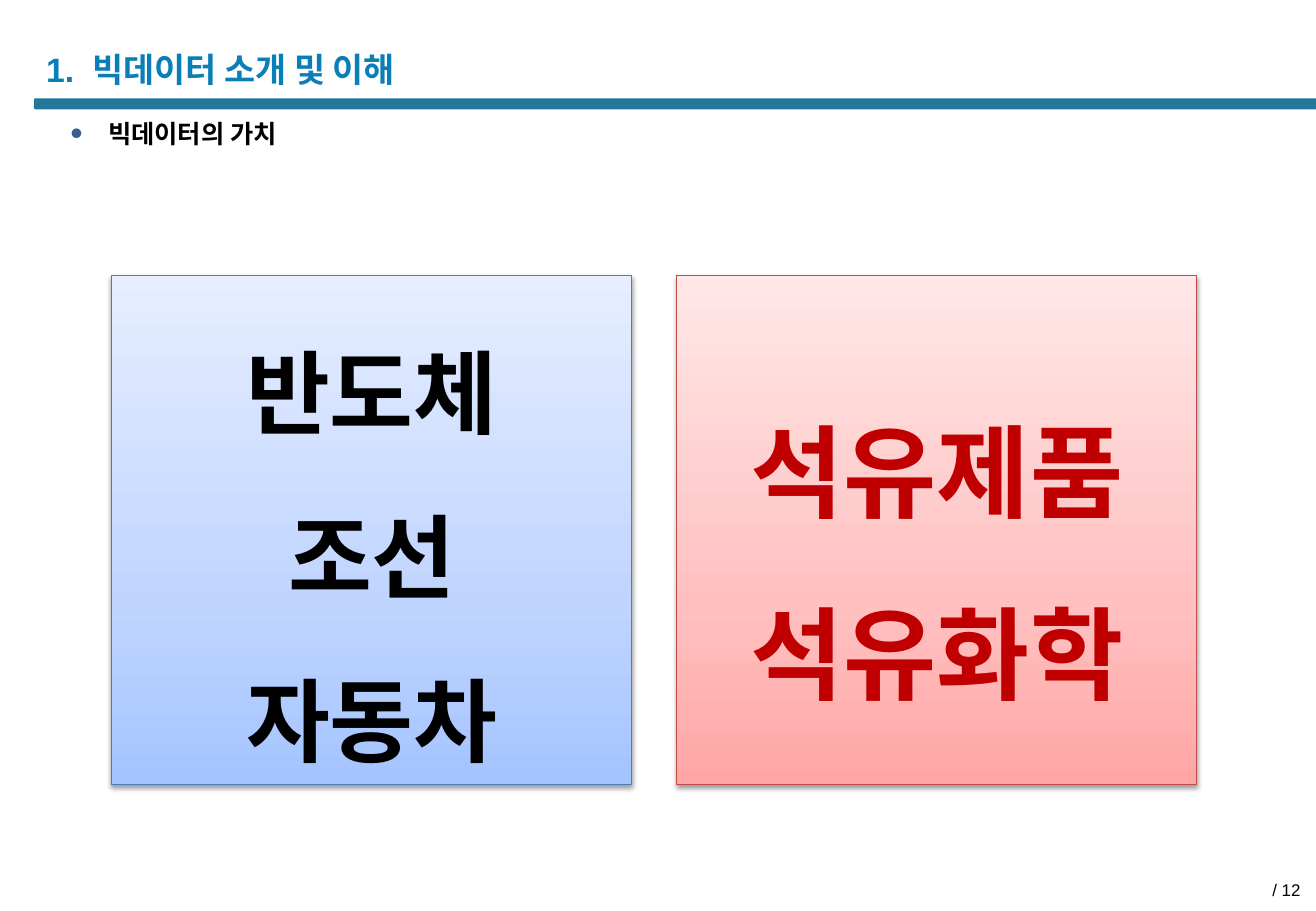
"""Build the slide on the value of big data, with two cards of export goods."""
from dataclasses import dataclass

from lxml import etree
from pptx import Presentation
from pptx.dml.color import RGBColor
from pptx.enum.shapes import MSO_SHAPE
from pptx.enum.text import MSO_ANCHOR, PP_ALIGN
from pptx.oxml import parse_xml
from pptx.oxml.ns import nsdecls, qn
from pptx.util import Inches, Pt

RECTANGLE, ROUNDED = MSO_SHAPE.RECTANGLE, MSO_SHAPE.ROUNDED_RECTANGLE
TOP, MIDDLE = MSO_ANCHOR.TOP, MSO_ANCHOR.MIDDLE
LEFT, CENTER, RIGHT = PP_ALIGN.LEFT, PP_ALIGN.CENTER, PP_ALIGN.RIGHT

TITLE = ["1.", " ", "빅데이터 소개 및 이해"]
SUBHEAD = "빅데이터의 가치"
PAGE_NUMBER = "/ 12"
CARDS = [
    {"lines": ["반도체", "조선", "자동차"], "size": 54, "color": "000000", "anchor": TOP,
     "edge": "4B7EBC", "stops": [(0, "A4C4FF"), (35, "BFD4FF"), (100, "E6EEFF")]},
    {"lines": ["석유제품", "석유화학"], "size": 60, "color": "C00000", "anchor": MIDDLE,
     "edge": "BF4C48", "stops": [(0, "FFA6A5"), (35, "FFC0BF"), (100, "FFE7E7")]},
]

CELL = 0.1
COLUMNS, ROWS = 108.3, 75
BAR_AREA = (2.8, 8.1, 105.8, 0.9)
TITLE_AREA = (2.8, 3.3, 59.6, 4.7)
SUBHEAD_AREA = (5.8, 9.7, 71.3, 2.5)
NUMBER_AREA = (83.1, 71.9, 24.9, 2.3)
CARD_LEFT, CARD_TOP, CARD_WIDTH, CARD_HEIGHT, CARD_GAP = 9.2, 22.7, 42.8, 41.9, 3.7


@dataclass(frozen=True)
class Theme:
    latin: str = "Arial"
    korean: str = "Noto Sans CJK KR"
    ink: str = "000000"
    title: str = "0A7FB7"
    bar: str = "22779B"
    bullet: str = "376092"
    title_size: int = 20
    subhead_size: int = 15
    number_size: int = 10


THEME = Theme()


def grid(*cells):
    return [Inches(cell * CELL) for cell in cells]


def add_run(para, text, size, color, latin=THEME.latin, bold=True):
    run = para.add_run()
    run.text = text
    font = run.font
    font.name, font.size, font.bold = latin, Pt(size), bold
    font.color.rgb = RGBColor.from_string(color)
    properties = run._r.get_or_add_rPr()
    etree.SubElement(properties, qn("a:ea")).set("typeface", THEME.korean)
    return properties


def add_text_box(page, area, inset):
    frame = page.shapes.add_textbox(*grid(*area)).text_frame
    frame.word_wrap = True
    frame.margin_left = frame.margin_right = Inches(inset)
    frame.margin_top = frame.margin_bottom = Inches(inset / 2)
    return frame.paragraphs[0]


def add_bar(page):
    bar = page.shapes.add_shape(ROUNDED, *grid(*BAR_AREA))
    bar.adjustments[0] = 0.13
    bar.shadow.inherit = False
    bar.fill.solid()
    bar.fill.fore_color.rgb = RGBColor.from_string(THEME.bar)
    bar.line.fill.background()


def add_title(page):
    title = page.shapes.title
    title.left, title.top, title.width, title.height = grid(*TITLE_AREA)
    title.text_frame.vertical_anchor = MIDDLE
    para = title.text_frame.paragraphs[0]
    para.alignment = LEFT
    for text in TITLE:
        properties = add_run(para, text, THEME.title_size, THEME.title)
        if text.isspace():
            properties.set("spc", "500")


def add_subhead(page):
    para = add_text_box(page, SUBHEAD_AREA, 0)
    properties = para._p.get_or_add_pPr()
    properties.set("marL", str(Inches(0.31)))
    properties.set("indent", str(-Inches(0.31)))
    color = etree.SubElement(properties, qn("a:buClr"))
    etree.SubElement(color, qn("a:srgbClr")).set("val", THEME.bullet)
    etree.SubElement(properties, qn("a:buSzPct")).set("val", "140000")
    etree.SubElement(properties, qn("a:buFont")).set("typeface", THEME.latin)
    etree.SubElement(properties, qn("a:buChar")).set("char", "•")
    add_run(para, SUBHEAD, THEME.subhead_size, THEME.ink)


def add_page_number(page):
    para = add_text_box(page, NUMBER_AREA, 0.1)
    para.alignment = RIGHT
    add_run(para, PAGE_NUMBER, THEME.number_size, THEME.ink, bold=False)


def shade(shape, stops):
    marks = "".join(f'<a:gs pos="{share * 1000}"><a:srgbClr val="{color}"/></a:gs>'
                    for share, color in stops)
    gradient = parse_xml(f'<a:gradFill {nsdecls("a")} rotWithShape="1"><a:gsLst>{marks}</a:gsLst>'
                         '<a:lin ang="16200000" scaled="0"/></a:gradFill>')
    shape._element.spPr.find(qn("a:prstGeom")).addnext(gradient)


def cast_shadow(shape):
    shape.shadow.inherit = False
    effects = shape._element.spPr.find(qn("a:effectLst"))
    effects.append(parse_xml(
        f'<a:outerShdw {nsdecls("a")} blurRad="{Pt(3.1)}" dist="{Pt(1.6)}" dir="5400000" '
        'rotWithShape="0"><a:srgbClr val="000000"><a:alpha val="38000"/></a:srgbClr></a:outerShdw>'))


def add_card(page, index, card):
    left = CARD_LEFT + index * (CARD_WIDTH + CARD_GAP)
    shape = page.shapes.add_shape(RECTANGLE, *grid(left, CARD_TOP, CARD_WIDTH, CARD_HEIGHT))
    shape.line.color.rgb = RGBColor.from_string(card["edge"])
    shape.line.width = Pt(0.75)
    shade(shape, card["stops"])
    cast_shadow(shape)
    frame = shape.text_frame
    frame.word_wrap = True
    frame.vertical_anchor = card["anchor"]
    for number, line in enumerate(card["lines"]):
        para = frame.add_paragraph() if number else frame.paragraphs[0]
        para.alignment, para.line_spacing = CENTER, 1.5
        add_run(para, line, card["size"], card["color"], latin=THEME.korean)


def main():
    deck = Presentation()
    deck.slide_width, deck.slide_height = grid(COLUMNS, ROWS)
    page = deck.slides.add_slide(deck.slide_layouts[5])
    add_bar(page)
    add_subhead(page)
    add_title(page)
    add_page_number(page)
    for index, card in enumerate(CARDS):
        add_card(page, index, card)
    deck.save("out.pptx")


if __name__ == "__main__":
    main()
